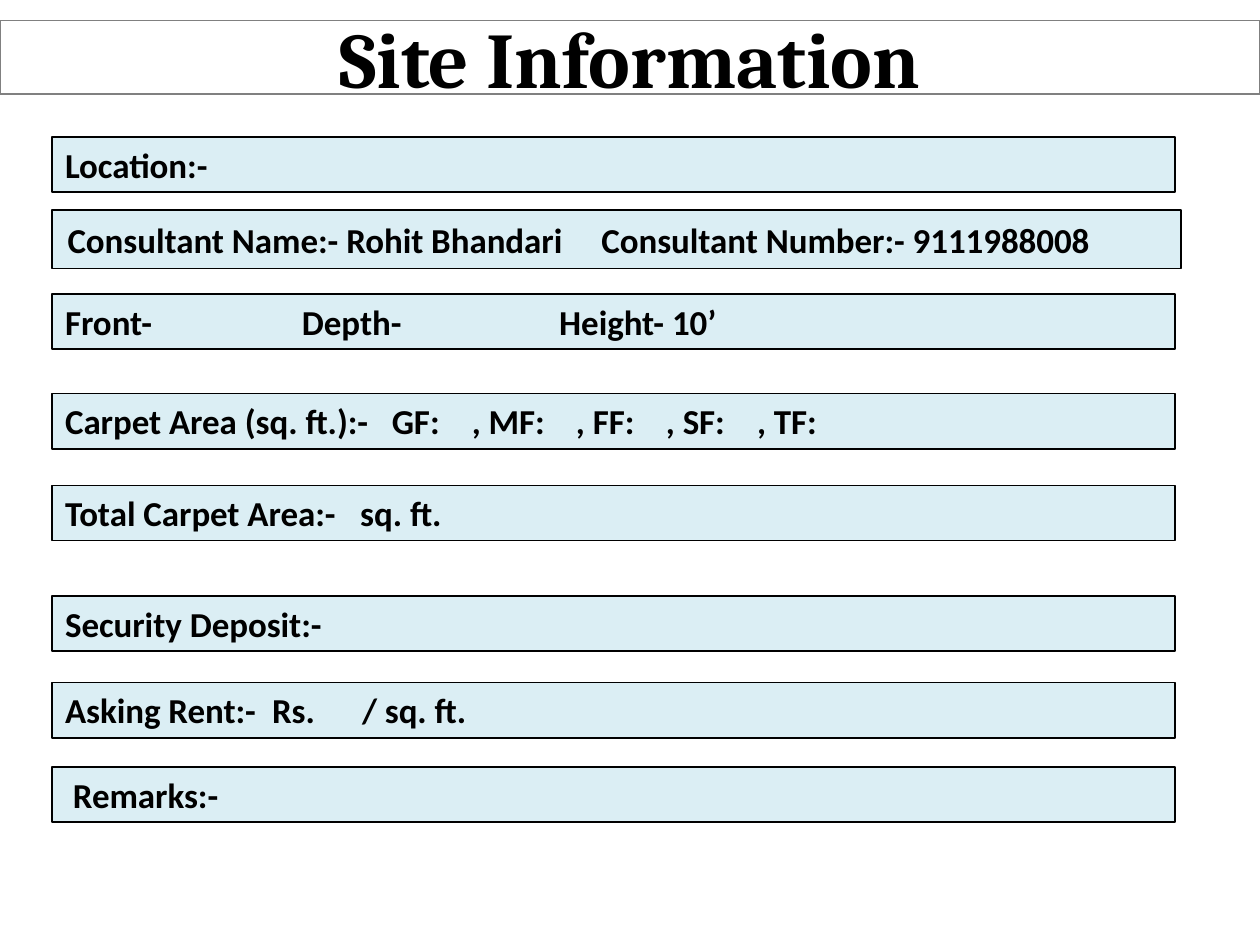
from pptx import Presentation
from pptx.dml.color import RGBColor
from pptx.enum.shapes import MSO_SHAPE
from pptx.enum.text import MSO_ANCHOR, PP_ALIGN
from pptx.oxml.ns import qn
from pptx.util import Cm, Pt
from lxml.etree import SubElement

BLACK = RGBColor(0x00, 0x00, 0x00)
WHITE = RGBColor(0xFF, 0xFF, 0xFF)
GREY = RGBColor(0x80, 0x80, 0x80)
PALE_BLUE = RGBColor(0xDB, 0xEE, 0xF4)

FIELD_LEFT, FIELD_WIDTH, FIELD_HEIGHT = 0.84, 18.11, 0.89
INSET_X, INSET_Y = 0.21, 0.1


def add_box(left, top, width, height, fill, outline, inset_x, inset_y):
    """Add an outlined rectangle and return its text frame."""
    box = slide.shapes.add_shape(
        MSO_SHAPE.RECTANGLE, Cm(left), Cm(top), Cm(width), Cm(height))
    box.shadow.inherit = False
    box.fill.solid()
    box.fill.fore_color.rgb = fill
    box.line.color.rgb = outline
    box.line.width = Pt(0.75)
    frame = box.text_frame
    frame.word_wrap = True
    frame.margin_left = frame.margin_right = Cm(inset_x)
    frame.margin_top = frame.margin_bottom = Cm(inset_y)
    return frame


def write(frame, text, font_name, size, align, tab_stops=()):
    """Write one bold black paragraph, with tab stops in centimetres."""
    paragraph = frame.paragraphs[0]
    paragraph.text = text
    paragraph.alignment = align
    if tab_stops:
        tab_list = SubElement(paragraph._p.get_or_add_pPr(), qn("a:tabLst"))
        for stop in tab_stops:
            SubElement(tab_list, qn("a:tab"), pos=str(Cm(stop)), algn="l")
    paragraph.font.name = font_name
    paragraph.font.size = Pt(size)
    paragraph.font.bold = True
    paragraph.font.color.rgb = BLACK


prs = Presentation()
prs.slide_width, prs.slide_height = Cm(20.32), Cm(15.24)
slide = prs.slides.add_slide(prs.slide_layouts[6])

heading = add_box(0, 0.33, 20.32, 1.19, WHITE, GREY, INSET_X, INSET_Y)
heading.vertical_anchor = MSO_ANCHOR.MIDDLE
write(heading, "Site Information", "Cambria", 36, PP_ALIGN.CENTER)

# Top edge, text, tab stops
site_fields = [
    (2.21, "Location:-", ()),
    (4.74, "Front-\tDepth-\tHeight- 10’", (3.82, 7.97)),
    (6.35, "Carpet Area (sq. ft.):-\tGF:\t, MF:\t, FF:\t, SF:\t, TF:",
     (5.27, 6.56, 8.24, 9.69, 11.16)),
    (7.83, "Total Carpet Area:-\tsq. ft.", (4.76,)),
    (9.61, "Security Deposit:-", ()),
    (11.01, "Asking Rent:-\tRs.\t/ sq. ft.", (3.34, 4.79)),
    (12.37, " Remarks:-", ()),
]
for top, text, tab_stops in site_fields:
    field = add_box(FIELD_LEFT, top, FIELD_WIDTH, FIELD_HEIGHT,
                    PALE_BLUE, BLACK, INSET_X, INSET_Y)
    field.vertical_anchor = MSO_ANCHOR.TOP
    write(field, text, "Calibri", 16, PP_ALIGN.LEFT, tab_stops)

consultant = add_box(FIELD_LEFT, 3.39, 18.21, 0.94, PALE_BLUE, BLACK, 0.25, 0.13)
consultant.vertical_anchor = MSO_ANCHOR.TOP
write(consultant, "Consultant Name:- Rohit Bhandari\tConsultant Number:- 9111988008",
      "Calibri", 16, PP_ALIGN.LEFT, (8.61,))

prs.save("out.pptx")
